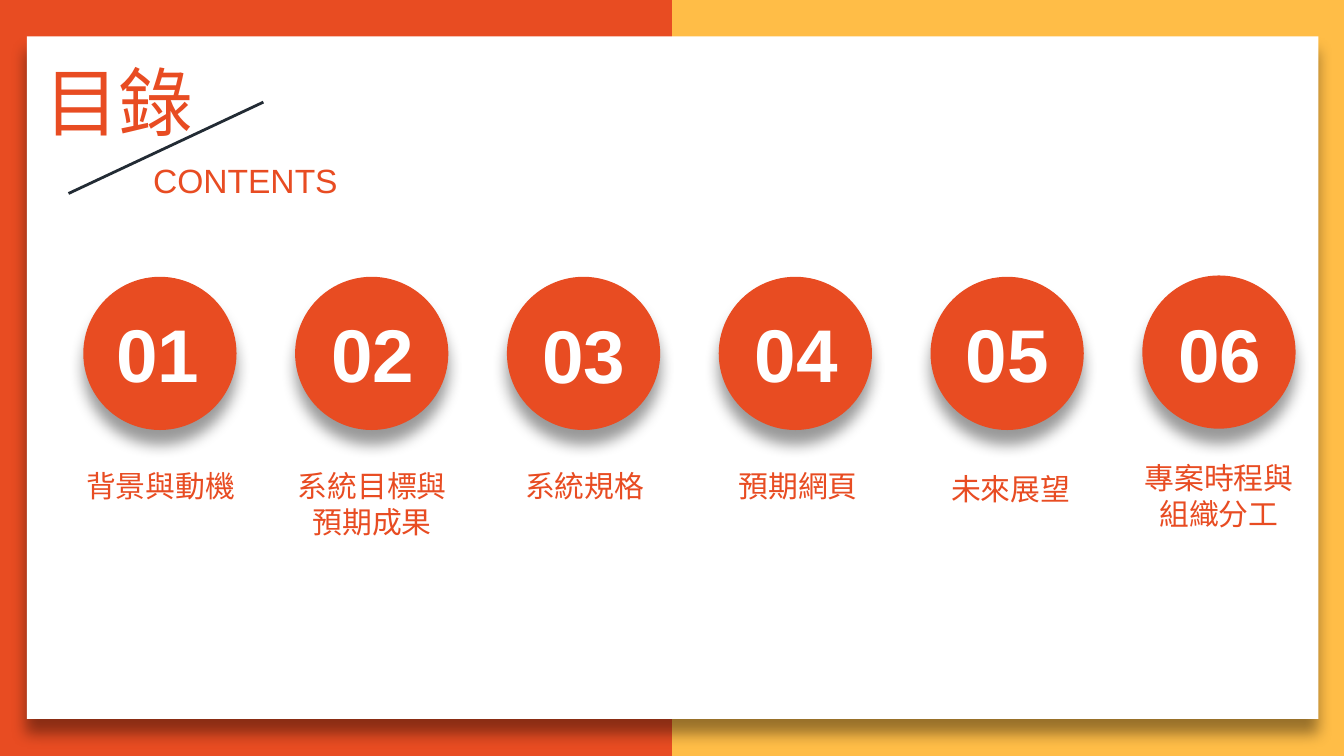
"""Build the contents slide with six numbered topics."""
from lxml import etree
from pptx import Presentation
from pptx.dml.color import RGBColor
from pptx.enum.shapes import MSO_CONNECTOR, MSO_SHAPE
from pptx.enum.text import MSO_AUTO_SIZE, PP_ALIGN
from pptx.oxml import parse_xml
from pptx.oxml.ns import nsdecls, qn
from pptx.util import Inches, Pt

RECTANGLE, OVAL = MSO_SHAPE.RECTANGLE, MSO_SHAPE.OVAL
STRAIGHT = MSO_CONNECTOR.STRAIGHT
LEFT, CENTER = PP_ALIGN.LEFT, PP_ALIGN.CENTER
GROW = MSO_AUTO_SIZE.SHAPE_TO_FIT_TEXT
ORANGE, YELLOW, WHITE, NAVY = "E84C22", "FFBD47", "FFFFFF", "222B34"
CJK = "Noto Sans CJK SC"
PAGE_WIDTH = 10
PAGE_HEIGHT = PAGE_WIDTH * 9 / 16
SHADOW = (
    f'<a:effectLst {nsdecls("a")}>'
    f'<a:outerShdw blurRad="{Pt(8)}" dist="{Pt(8)}" dir="5400000" algn="t" rotWithShape="0">'
    '<a:srgbClr val="000000"><a:alpha val="40000"/></a:srgbClr>'
    "</a:outerShdw></a:effectLst>"
)


def add_panel(shapes, kind, place, color, shadowed=False):
    panel = shapes.add_shape(kind, *map(Inches, place))
    panel.fill.solid()
    panel.fill.fore_color.rgb = RGBColor.from_string(color)
    panel.line.fill.background()
    panel.shadow.inherit = False
    if shadowed:
        properties = panel._element.spPr
        properties.replace(properties.find(qn("a:effectLst")), parse_xml(SHADOW))


def add_text(shapes, place, text, color, align, font, fill=None):
    box = shapes.add_textbox(*map(Inches, place))
    if fill:
        box.fill.solid()
        box.fill.fore_color.rgb = RGBColor.from_string(fill)
    frame = box.text_frame
    frame.word_wrap = False
    frame.auto_size = GROW
    frame.text = text
    for para in frame.paragraphs:
        para.alignment = align
        for span in para.runs:
            for name, value in font.items():
                setattr(span.font, name, value)
            span.font.color.rgb = RGBColor.from_string(color)
            etree.SubElement(span.font._element, qn("a:ea"), typeface=CJK)


deck = Presentation()
deck.slide_width, deck.slide_height = Inches(PAGE_WIDTH), Inches(PAGE_HEIGHT)
page = deck.slides.add_slide(deck.slide_layouts[6])
page.background.fill.solid()
page.background.fill.fore_color.rgb = RGBColor.from_string(YELLOW)

add_panel(page.shapes, RECTANGLE, (0, 0, PAGE_WIDTH / 2, PAGE_HEIGHT), ORANGE)
add_panel(page.shapes, RECTANGLE, (0.2, 0.27, 9.61, 5.08), WHITE, True)

title_font = {"size": Pt(40), "name": "Calibri"}
subtitle_font = {"size": Pt(18), "name": "Arial"}
label_font = {"size": Pt(16), "name": CJK}
number_font = {"size": Pt(40), "name": "Arial", "bold": True}

add_text(page.shapes, (0.23, 0.37, 1.32, 0.77), "目錄", ORANGE, LEFT, title_font, WHITE)
add_text(page.shapes, (1.04, 1.14, 1.59, 0.4), "CONTENTS", ORANGE, LEFT, subtitle_font, WHITE)

topics = [
    ("背景與動機", 0.5, 1.39, 3.43, 2.06, 0.76, 2.24),
    ("系統目標與\n預期成果", 2.11, 1.32, 3.43, 2.06, 2.36, 2.24),
    ("系統規格", 3.8, 1.1, 3.43, 2.06, 3.93, 2.25),
    ("預期網頁", 5.39, 1.1, 3.43, 2.06, 5.51, 2.24),
    ("未來展望", 6.97, 1.1, 3.45, 2.06, 7.08, 2.24),
    ("專案時程與\n組織分工", 8.41, 1.32, 3.37, 2.05, 8.66, 2.24),
]
first_circle, last_circle = 0.62, 8.5
pitch = (last_circle - first_circle) / (len(topics) - 1)
for index, topic in enumerate(topics):
    label, label_left, label_width, label_top, circle_top, number_left, number_top = topic
    label_height = 0.64 if "\n" in label else 0.37
    label_place = (label_left, label_top, label_width, label_height)
    add_text(page.shapes, label_place, label, ORANGE, CENTER, label_font, WHITE)
    badge = page.shapes.add_group_shape()
    circle_place = (first_circle + index * pitch, circle_top, 1.14, 1.14)
    add_panel(badge.shapes, OVAL, circle_place, ORANGE, True)
    number_place = (number_left, number_top, 0.83, 0.77)
    add_text(badge.shapes, number_place, f"{index + 1:02}", WHITE, CENTER, number_font)

slash = page.shapes.add_connector(
    STRAIGHT, Inches(1.96), Inches(0.76), Inches(0.51), Inches(1.44)
)
slash.line.color.rgb = RGBColor.from_string(NAVY)
slash.line.width = Pt(1.5)
etree.SubElement(slash._element.spPr, qn("a:effectLst"))

deck.save("out.pptx")
